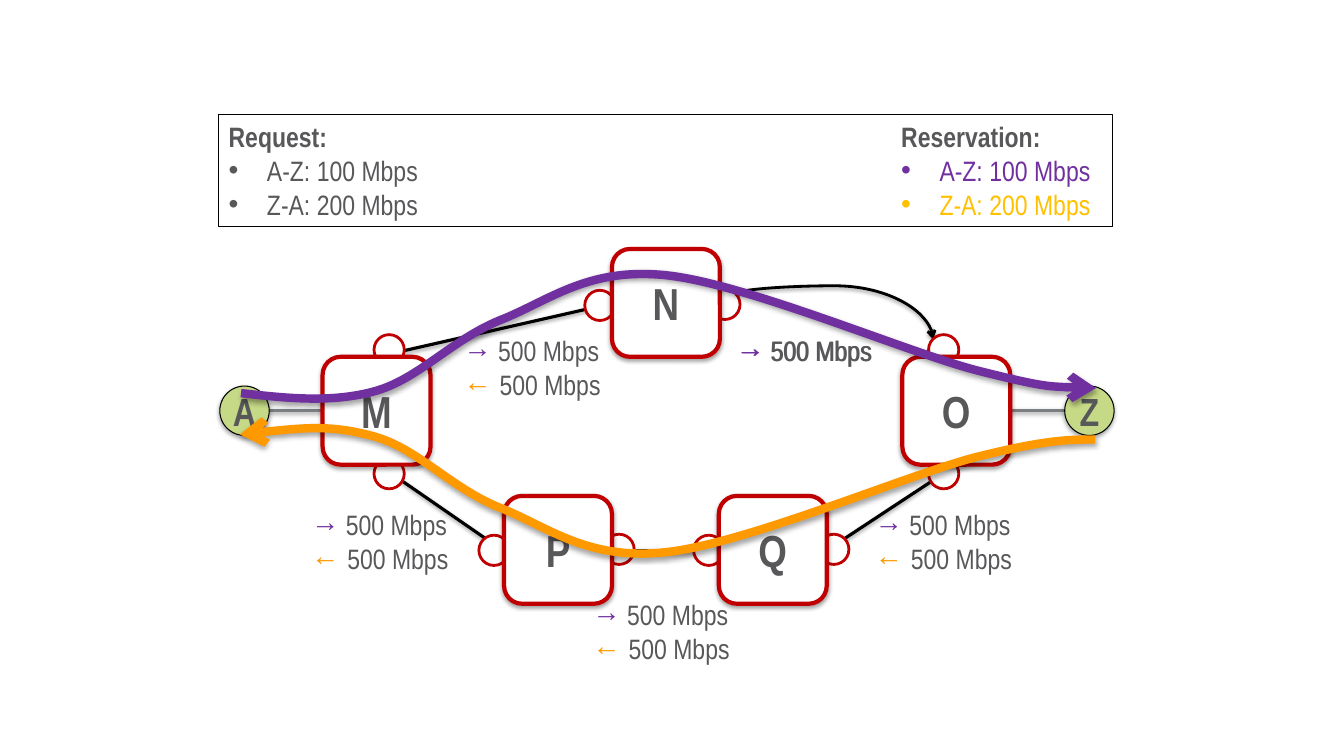
"""Build the bidirectional bandwidth reservation slide."""
from itertools import chain

from lxml.etree import SubElement
from pptx import Presentation
from pptx.dml.color import RGBColor
from pptx.enum.shapes import MSO_CONNECTOR, MSO_SHAPE
from pptx.enum.text import MSO_ANCHOR, PP_ALIGN
from pptx.oxml.ns import qn
from pptx.util import Inches, Pt

BLACK = RGBColor(0x00, 0x00, 0x00)
WHITE = RGBColor(0xFF, 0xFF, 0xFF)
TEXT = RGBColor(0x58, 0x58, 0x5B)
GRAY = RGBColor(0x7C, 0x7F, 0x82)
RED = RGBColor(0xC0, 0x00, 0x00)
GREEN = RGBColor(0xC6, 0xD9, 0x86)
PURPLE = RGBColor(0x70, 0x30, 0xA0)
ORANGE = RGBColor(0xFF, 0x99, 0x00)
GOLD = RGBColor(0xFF, 0xC0, 0x00)
FONT = "Arial Narrow"

REQUEST = ("Request: ", [("A-Z: 100 Mbps", TEXT), ("Z-A: 200 Mbps", TEXT)])
RESERVATION = ("Reservation: ", [("A-Z: 100 Mbps", PURPLE), ("Z-A: 200 Mbps", GOLD)])
FORWARD, BACKWARD = ("→ ", PURPLE), ("← ", ORANGE)
BOTH = [FORWARD, BACKWARD]
CAPACITY = "500 Mbps"
LABELS = [(4.5, 3.26, BOTH), (7.21, 3.26, [FORWARD]), (8.58, 4.99, BOTH),
          (2.99, 4.99, BOTH), (5.78, 5.88, BOTH), (7.2, 3.26, [FORWARD])]

ENDS = {"A": (2.18, 3.83), "Z": (10.56, 3.83)}
NODES = {"M": (3.2, 3.54), "N": (6.07, 2.47), "O": (8.95, 3.54),
         "P": (5, 4.92), "Q": (7.13, 4.92)}
PORTS = [(5.8, 2.88), (7.04, 2.87), (3.71, 3.32), (9.21, 3.32), (4.75, 5.31),
         (5.99, 5.3), (6.88, 5.31), (8.12, 5.3), (3.71, 4.55), (9.21, 4.55)]
END_SIZE, NODE_SIZE, PORT_SIZE = 0.49, 1.07, 0.3

LINKS = [(6.07, 3.01, 3.74, 3.54), (5, 5.47, 3.74, 4.6),
         (9.49, 4.61, 8.2, 5.46), (7.13, 5.46, 6.07, 5.46)]
ACCESS = [(10.02, 4.07, 10.56, 4.07), (2.67, 4.07, 3.2, 4.07)]
ROUTE = [(2.38, 4.31), (2.83, 4.26), (3.28, 4.21), (3.71, 4.33), (4.14, 4.45),
         (4.46, 4.83), (4.94, 5.03), (5.43, 5.22), (5.81, 5.56), (6.59, 5.48),
         (7.38, 5.4), (8.95, 4.73), (9.66, 4.54), (10.37, 4.36), (10.62, 4.36),
         (10.86, 4.36)]
MIRROR = [(x + 0.01, 8.21 - y) for x, y in ROUTE]

prs = Presentation()
prs.slide_width, prs.slide_height = Inches(13.33), Inches(7.5)
s = prs.slides.add_slide(prs.slide_layouts[6])


def set_attrs(obj, values):
    for name, value in values.items():
        setattr(obj, name, value)


def add_run(p, text, color, size=20, bold=False):
    r = p.add_run()
    r.text = text
    set_attrs(r.font, {"name": FONT, "size": Pt(size), "bold": bold})
    r.font.color.rgb = color


def set_line(sp, color, width, arrow=None):
    sp.line.color.rgb = color
    sp.line.width = Pt(width)
    if arrow:
        SubElement(sp.line._get_or_add_ln(), qn(f"a:{arrow}"), type="arrow")


def set_shadow(sp, alpha, dist):
    effects = SubElement(sp._element.spPr, qn("a:effectLst"))
    shadow = SubElement(effects, qn("a:outerShdw"), blurRad=str(Pt(3.1)),
                        dist=str(Pt(dist)), dir="5400000", rotWithShape="0")
    color = SubElement(shadow, qn("a:srgbClr"), val="000000")
    SubElement(color, qn("a:alpha"), val=str(alpha * 1000))


def add_link(ends, color, width, kind=MSO_CONNECTOR.STRAIGHT, arrow=None):
    link = s.shapes.add_connector(kind, *map(Inches, ends))
    set_line(link, color, width, arrow)
    set_shadow(link, 38, 1.6)
    return link


def add_box(shape, x, y, w, h, fill, color, width, shadow=False):
    sp = s.shapes.add_shape(shape, *map(Inches, (x, y, w, h)))
    if shadow:
        set_shadow(sp, 35, 1.8)
    else:
        sp.shadow.inherit = False
    if fill is None:
        sp.fill.background()
    else:
        sp.fill.solid()
        sp.fill.fore_color.rgb = fill
    set_line(sp, color, width)
    return sp


def add_text(x, y, w, h):
    tf = s.shapes.add_textbox(*map(Inches, (x, y, w, h))).text_frame
    tf.word_wrap = True
    return tf


def add_letter(sp, letter, size):
    tf = sp.text_frame
    set_attrs(tf, {"margin_left": 0, "margin_right": 0, "margin_top": 0,
                   "margin_bottom": 0, "word_wrap": False,
                   "vertical_anchor": MSO_ANCHOR.MIDDLE})
    tf.paragraphs[0].alignment = PP_ALIGN.CENTER
    add_run(tf.paragraphs[0], letter, TEXT, size, True)


def fill_list(tf, heading, items):
    tf.vertical_anchor = MSO_ANCHOR.TOP
    tf.paragraphs[0].alignment = PP_ALIGN.LEFT
    add_run(tf.paragraphs[0], heading, TEXT, bold=True)
    for text, color in items:
        p = tf.add_paragraph()
        p.alignment = PP_ALIGN.LEFT
        pPr = p._p.get_or_add_pPr()
        pPr.set("marL", str(Inches(0.38)))
        pPr.set("indent", str(-Inches(0.38)))
        SubElement(pPr, qn("a:buFont"), typeface="Arial")
        SubElement(pPr, qn("a:buChar"), char="•")
        add_run(p, text, color)


def add_route(points, color, arrow):
    start, *rest = [(Inches(x), Inches(y)) for x, y in points]
    builder = s.shapes.build_freeform(*start)
    builder.add_line_segments(rest, close=False)
    sp = builder.convert_to_shape()
    steps = list(sp._element.iter(qn("a:lnTo")))
    outline = steps[0].getparent()
    for i in range(0, len(steps), 3):
        curve = SubElement(outline, qn("a:cubicBezTo"))
        for step in steps[i:i + 3]:
            curve.append(step[0])
            outline.remove(step)
    sp.fill.background()
    set_line(sp, color, 6, arrow)
    set_shadow(sp, 35, 1.8)


frame = add_box(MSO_SHAPE.RECTANGLE, 2.17, 1.14, 8.86, 1.11, None, BLACK, 0.75)
fill_list(frame.text_frame, *REQUEST)
fill_list(add_text(8.84, 1.14, 3.1, 1.11), *RESERVATION)

for ends in LINKS:
    add_link(ends, BLACK, 2.25)
for ends in ACCESS:
    add_link(ends, GRAY, 2)
for letter, (x, y) in ENDS.items():
    end = add_box(MSO_SHAPE.OVAL, x, y, END_SIZE, END_SIZE, GREEN, BLACK, 0.75, True)
    add_letter(end, letter, 28)

for x, y, arrows in LABELS:
    tf = add_text(x, y, 1.7, 0.11 + 0.33 * len(arrows))
    new_paragraphs = (tf.add_paragraph() for _ in arrows[1:])
    for p, (arrow, color) in zip(chain(tf.paragraphs, new_paragraphs), arrows):
        add_run(p, arrow, color)
        add_run(p, CAPACITY, TEXT)

bend = add_link((8.5, 2.16, 8.05, 4.12), BLACK, 2, MSO_CONNECTOR.CURVE, "tailEnd")
bend._element.spPr.find(qn("a:xfrm")).set("rot", "16200000")
geometry = bend._element.spPr.find(qn("a:prstGeom"))
SubElement(geometry.find(qn("a:avLst")), qn("a:gd"), name="adj1", fmla="val -17800")

for x, y in PORTS:
    add_box(MSO_SHAPE.OVAL, x, y, PORT_SIZE, PORT_SIZE, WHITE, RED, 2)
for letter, (x, y) in NODES.items():
    node = add_box(MSO_SHAPE.ROUNDED_RECTANGLE, x, y, NODE_SIZE, NODE_SIZE,
                   WHITE, RED, 3, True)
    add_letter(node, letter, 32)

add_route(ROUTE, ORANGE, "headEnd")
add_route(MIRROR, PURPLE, "tailEnd")

prs.save("out.pptx")
